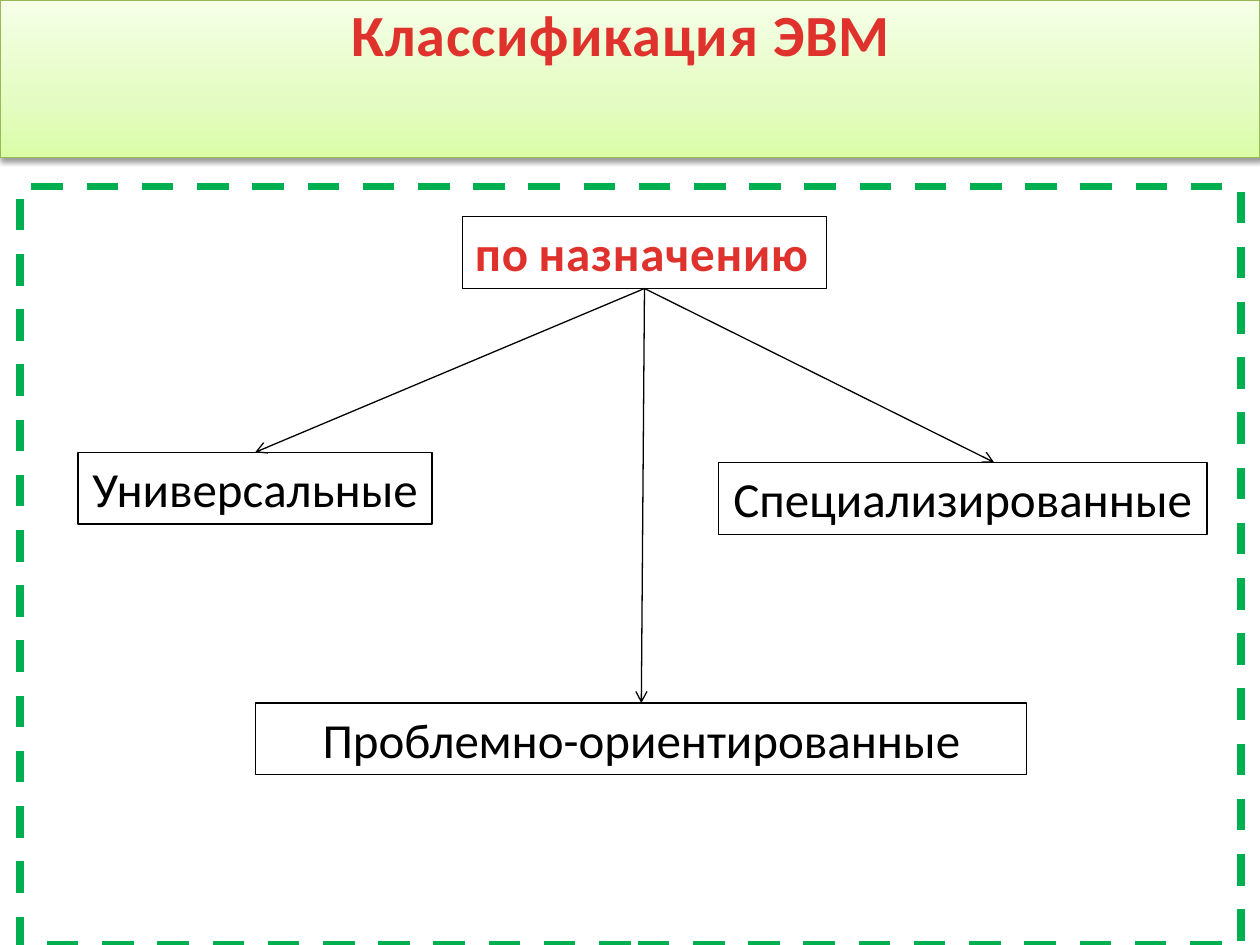
"""Build a slide that classifies computers by purpose."""
from lxml import etree
from pptx import Presentation, util as u
from pptx.dml.color import RGBColor
from pptx.enum import dml, shapes, text
from pptx.oxml import parse_xml
from pptx.oxml.ns import nsdecls, qn

WIDE, HIGH = 10, 7.5
HUE = {"red": "E0322D", "ink": "000000", "frame": "00B050", "edge": "98B955"}
BLEND = [(0, "DAFDA7"), (35, "E4FCC2"), (100, "F5FFE7")]
TITLE = "Классификация ЭВМ"
ROOT = ([("по", 28), (" ", 18), ("назначению", 28)], (3.67, 1.72, 2.89))
KINDS = [
    ("Универсальные", (0.62, 3.59, 2.81), None),
    ("Проблемно-ориентированные", (2.03, 5.58, 6.12), None),
    ("Специализированные", (5.7, 3.67, 3.88), 7.89),
]
ROW = 0.57


def tint(name):
    return RGBColor.from_string(HUE[name])


def stroke(line, name, size=0.75):
    line.color.rgb = tint(name)
    line.width = u.Pt(size)


def write(frame, runs, size=28, hue="ink", bold=False, align="CENTER", wrap=False):
    """Fill a frame with one paragraph of text or of (text, size) runs."""
    frame.word_wrap = wrap
    par = frame.paragraphs[0]
    par.alignment = getattr(text.PP_ALIGN, align)
    for words, pts in [(runs, size)] if isinstance(runs, str) else runs:
        run = par.add_run()
        run.text = words
        run.font.name = "Arial" if words == " " else "Calibri"
        run.font.size = u.Pt(pts)
        run.font.bold = bold
        run.font.color.rgb = tint(hue)
        if bold:
            run.font._element.set("spc", "50")
    return par


def block(slide, left, top, wide, high):
    shape = slide.shapes.add_shape(
        shapes.MSO_SHAPE.RECTANGLE, *map(u.Inches, (left, top, wide, high)))
    shape.shadow.inherit = False
    return shape


def label(slide, runs, place, **style):
    box = slide.shapes.add_textbox(*map(u.Inches, (*place, ROW)))
    stroke(box.line, "ink")
    write(box.text_frame, runs, **style)
    return box


def banner(slide):
    bar = block(slide, 0, 0, WIDE, HIGH / 6)
    stroke(bar.line, "edge")
    stops = "".join(f'<a:gs pos="{pos * 1000}"><a:srgbClr val="{hue}"/></a:gs>'
                    for pos, hue in BLEND)
    fill = parse_xml(f'<a:gradFill {nsdecls("a")} rotWithShape="1"><a:gsLst>{stops}'
                     '</a:gsLst><a:lin ang="16200000" scaled="1"/></a:gradFill>')
    props = bar._element.spPr
    props.find(qn("a:prstGeom")).addnext(fill)
    props.find(qn("a:effectLst")).append(parse_xml(
        f'<a:outerShdw {nsdecls("a")} blurRad="{u.Pt(3.1)}" dist="{u.Pt(1.6)}" '
        'dir="5400000" rotWithShape="0"><a:srgbClr val="000000">'
        '<a:alpha val="38000"/></a:srgbClr></a:outerShdw>'))
    frame = bar.text_frame
    frame.vertical_anchor = text.MSO_ANCHOR.TOP
    frame.margin_right = u.Inches(0.24)
    par = write(frame, TITLE, size=33.3, hue="red", bold=True, wrap=True)
    par.line_spacing = 0.9


def arrow(slide, root, box, aim):
    line = slide.shapes.add_connector(
        shapes.MSO_CONNECTOR.STRAIGHT, 0, 0, u.Inches(aim or 0), box.top)
    line.begin_connect(root, 2)
    if aim is None:
        line.end_connect(box, 0)
    stroke(line.line, "ink")
    etree.SubElement(line.line._get_or_add_ln(), qn("a:tailEnd"), type="arrow")
    etree.SubElement(line._element.spPr, qn("a:effectLst"))


def main():
    deck = Presentation()
    deck.slide_width, deck.slide_height = u.Inches(WIDE), u.Inches(HIGH)
    slide = deck.slides.add_slide(deck.slide_layouts[6])
    banner(slide)
    frame = block(slide, 0.16, 1.48, 9.69, 6.02)
    frame.fill.background()
    stroke(frame.line, "frame", 4.5)
    frame.line.dash_style = dml.MSO_LINE.DASH
    root = label(slide, *ROOT, hue="red", bold=True, align="LEFT")
    for name, place, aim in KINDS:
        arrow(slide, root, label(slide, name, place), aim)
    deck.save("out.pptx")


if __name__ == "__main__":
    main()
